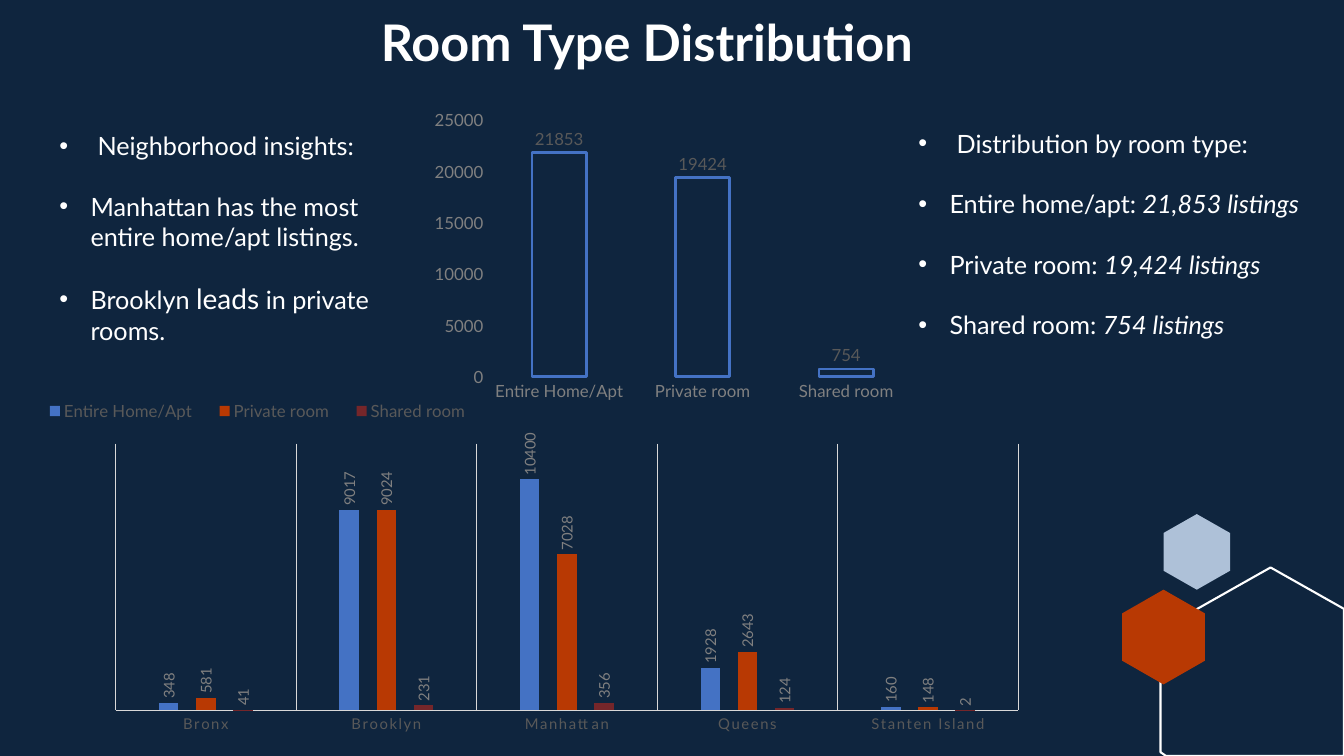
from lxml import etree
from pptx import Presentation
from pptx.chart.data import CategoryChartData
from pptx.dml.color import RGBColor
from pptx.enum.chart import XL_CHART_TYPE, XL_LABEL_POSITION, XL_LEGEND_POSITION, XL_TICK_MARK
from pptx.enum.text import MSO_ANCHOR, PP_ALIGN
from pptx.oxml.ns import qn
from pptx.util import Inches, Pt

COLUMNS = XL_CHART_TYPE.COLUMN_CLUSTERED
OUTSIDE_END = XL_LABEL_POSITION.OUTSIDE_END
LEGEND_TOP = XL_LEGEND_POSITION.TOP
NO_TICKS = XL_TICK_MARK.NONE
MIDDLE = MSO_ANCHOR.MIDDLE
CENTER = PP_ALIGN.CENTER

FONT = "Lato"
COLORS = {
    "background": "0F253E", "white": "FFFFFF", "pale": "AEC1D8", "orange": "B83903",
    "blue": "4472C4", "red": "75262A", "gray": "808080", "dark_gray": "595959",
    "rule": "D9D9D9", "black": "000000",
}
HEXAGON = [(0.5, 0), (1, 0.25), (1, 0.75), (0.5, 1), (0, 0.75), (0, 0.25)]
CLIPPED_HEXAGON = [(0.6, 0), (1, 0.22), (1, 1), (0.03, 1), (0, 0.98), (0, 0.33)]
ROOM_TYPES = ["Entire Home/Apt", "Private room", "Shared room"]
TOTALS = [21853, 19424, 754]
BOROUGHS = ["Bronx", "Brooklyn", "Manhattan", "Queens", "Stanten Island"]
BOROUGH_COUNTS = [
    [348, 9017, 10400, 1928, 160],
    [581, 9024, 7028, 2643, 148],
    [41, 231, 356, 124, 2],
]
INSIGHTS = [
    [("Neighborhood insights:", {})],
    [("Manhattan has the most entire home/apt listings.", {})],
    [("Brooklyn ", {}), ("leads", {"size": Pt(20)}), (" in private rooms.", {})],
]
DISTRIBUTION = [
    [("Distribution by room type:", {})],
    [("Entire home/apt: ", {}), ("21,853 listings", {"italic": True})],
    [("Private room: ", {}), ("19,424 listings", {"italic": True})],
    [("Shared room: ", {}), ("754 listings", {"italic": True})],
]


def color(name):
    """Return the named palette color."""
    return RGBColor.from_string(COLORS[name])


def set_font(font, size, color_name):
    """Apply the slide's typeface with a size and color."""
    font.name = FONT
    font.size = Pt(size)
    font.color.rgb = color(color_name)


def add_polygon(slide, box, points, fill=None, line=None):
    """Draw a closed outline from fractional points of a box."""
    left, top, width, height = box
    corners = [(Inches(left + x * width), Inches(top + y * height)) for x, y in points]
    builder = slide.shapes.build_freeform(*corners[0])
    builder.add_line_segments(corners[1:], close=True)
    shape = builder.convert_to_shape()
    shape.shadow.inherit = False
    if fill:
        shape.fill.solid()
        shape.fill.fore_color.rgb = color(fill)
    else:
        shape.fill.background()
    if line:
        shape.line.color.rgb = color(line)
        shape.line.width = Pt(1.5)
    else:
        shape.line.fill.background()


def add_hexagons(slide, left, top):
    """Place the corner ornament relative to its top left corner."""
    add_polygon(slide, (left + 0.41, top, 0.66, 0.75), HEXAGON, fill="pale")
    add_polygon(slide, (left + 0.38, top + 0.53, 1.82, 1.87), CLIPPED_HEXAGON, line="white")
    add_polygon(slide, (left, top + 0.75, 0.82, 0.94), HEXAGON, fill="orange")


def add_text_frame(slide, box):
    """Add a wrapping text box and return its text frame."""
    text_frame = slide.shapes.add_textbox(*map(Inches, box)).text_frame
    text_frame.word_wrap = True
    return text_frame


def add_title(slide, box, text):
    """Add the centred slide heading."""
    paragraph = add_text_frame(slide, box).paragraphs[0]
    paragraph.text = text
    paragraph.alignment = CENTER
    paragraph.line_spacing = 0.9
    set_font(paragraph.font, 36, "white")
    paragraph.font.bold = True


def add_bullets(slide, box, items):
    """Add a bulleted list whose first item has a wider indent."""
    text_frame = add_text_frame(slide, box)
    text_frame.vertical_anchor = MIDDLE
    for index, runs in enumerate(items):
        paragraph = text_frame.add_paragraph() if index else text_frame.paragraphs[0]
        paragraph.space_before = Pt(21.6 if index else 0)
        set_font(paragraph.font, 18, "white")
        indent = Inches(0.31 if index else 0.38)
        properties = paragraph._p.get_or_add_pPr()
        properties.set("marL", str(indent))
        properties.set("indent", str(-indent))
        bullet_font = etree.Element(qn("a:buFont"), typeface="Arial")
        bullet = etree.Element(qn("a:buChar"), char="•")
        properties.find(qn("a:defRPr")).addprevious(bullet_font)
        bullet_font.addnext(bullet)
        for text, style in runs:
            run = paragraph.add_run()
            run.text = text
            for name, value in style.items():
                setattr(run.font, name, value)


def make_layout(box, inner=False):
    """Build a manual chart layout from fractions of the chart area."""
    layout = etree.Element(qn("c:layout"))
    manual = etree.SubElement(layout, qn("c:manualLayout"))
    settings = [("layoutTarget", "inner")] if inner else []
    settings += [("xMode", "edge"), ("yMode", "edge"), *zip("xywh", map(str, box))]
    for name, value in settings:
        etree.SubElement(manual, qn(f"c:{name}"), val=value)
    return layout


def add_columns(slide, box, categories, series, plot_box, gap, overlap, label_size, label_color):
    """Add a labelled column chart and return it."""
    data = CategoryChartData()
    data.categories = categories
    for name, values in series:
        data.add_series(name, values)
    chart = slide.shapes.add_chart(COLUMNS, *map(Inches, box), data).chart
    chart.has_title = False
    chart.has_legend = False
    set_font(chart.font, 10, "black")
    plot = chart.plots[0]
    plot.vary_by_categories = False
    plot.gap_width = gap
    plot.overlap = overlap
    for column in plot.series:
        labels = column.data_labels
        labels.show_value = True
        labels.position = OUTSIDE_END
        set_font(labels.font, label_size, label_color)
    for axis in (chart.category_axis, chart.value_axis):
        axis.major_tick_mark = axis.minor_tick_mark = NO_TICKS
        axis.has_major_gridlines = False
        axis.format.line.fill.background()
        set_font(axis.tick_labels.font, 12, "gray")
    plot_area = chart._chartSpace.chart.plotArea
    for layout in plot_area.findall(qn("c:layout")):
        plot_area.remove(layout)
    plot_area.insert(0, make_layout(plot_box, inner=True))
    return chart


def add_totals_chart(slide, box):
    """Add outlined columns of the listings per room type."""
    chart = add_columns(slide, box, ROOM_TYPES, [("Series 1", TOTALS)],
                        (0.125, 0.053, 0.854, 0.85), 164, -35, 12, "dark_gray")
    chart.value_axis.minimum_scale = 0
    chart.value_axis.maximum_scale = 25000
    chart.value_axis.major_unit = 5000
    column_format = chart.plots[0].series[0].format
    column_format.fill.background()
    column_format.line.color.rgb = color("blue")
    column_format.line.width = Pt(2)


def add_borough_chart(slide, box):
    """Add columns of room types per borough with a legend on top."""
    chart = add_columns(slide, box, BOROUGHS, zip(ROOM_TYPES, BOROUGH_COUNTS),
                        (0.104, 0.155, 0.865, 0.693), 444, -90, 10.6, "gray")
    for column, fill in zip(chart.plots[0].series, ("blue", "orange", "red")):
        column.format.fill.solid()
        column.format.fill.fore_color.rgb = color(fill)
        column.data_labels._element.find(".//" + qn("a:bodyPr")).set("rot", "-5400000")
    chart.value_axis.minimum_scale = 0
    chart.value_axis.maximum_scale = 12000
    chart.value_axis.visible = False
    axis = chart.category_axis
    set_font(axis.tick_labels.font, 10.6, "dark_gray")
    axis._element.find(".//" + qn("a:defRPr")).set("spc", "120")
    axis.has_major_gridlines = True
    for line in (axis.format.line, axis.major_gridlines.format.line):
        line.color.rgb = color("rule")
        line.width = Pt(0.75)
    chart.has_legend = True
    legend = chart.legend
    legend.position = LEGEND_TOP
    legend.include_in_layout = False
    set_font(legend.font, 12, "dark_gray")
    for layout in legend._element.findall(qn("c:layout")):
        legend._element.remove(layout)
    legend._element.find(qn("c:legendPos")).addnext(make_layout((0.02, 0.03, 0.44, 0.08)))


def build_slide(presentation):
    """Compose the room type slide."""
    slide = presentation.slides.add_slide(presentation.slide_layouts[6])
    slide.background.fill.solid()
    slide.background.fill.fore_color.rgb = color("background")
    add_hexagons(slide, 11.13, 5.1)
    add_title(slide, (1.24, 0.13, 10.35, 0.97), "Room Type Distribution")
    add_bullets(slide, (9.01, 1.21, 4.04, 2.22), DISTRIBUTION)
    add_bullets(slide, (0.49, 1.25, 3.83, 2.22), INSIGHTS)
    add_totals_chart(slide, (4.21, 1.03, 5, 3))
    add_borough_chart(slide, (0.07, 3.81, 10.35, 3.82))


def main():
    """Create and save the presentation."""
    presentation = Presentation()
    presentation.slide_width = Inches(13.33)
    presentation.slide_height = Inches(7.5)
    build_slide(presentation)
    presentation.save("out.pptx")


if __name__ == "__main__":
    main()
